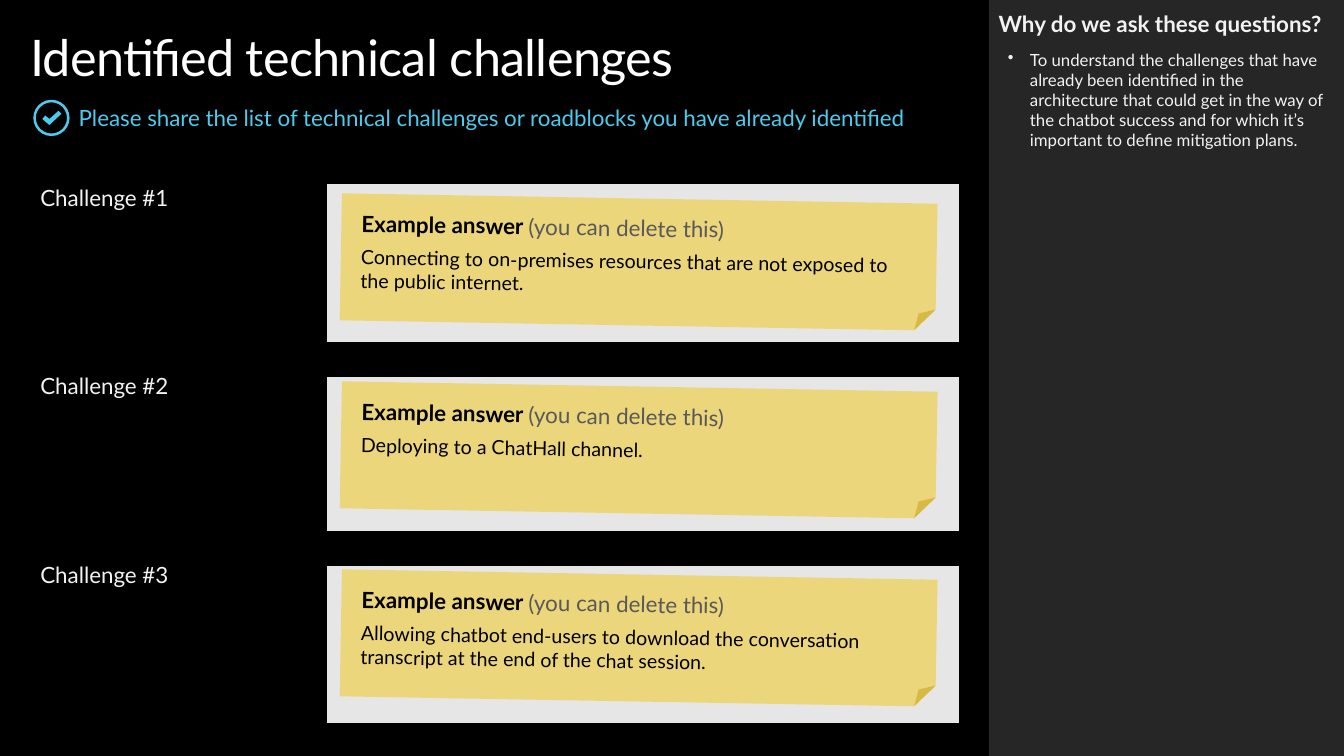
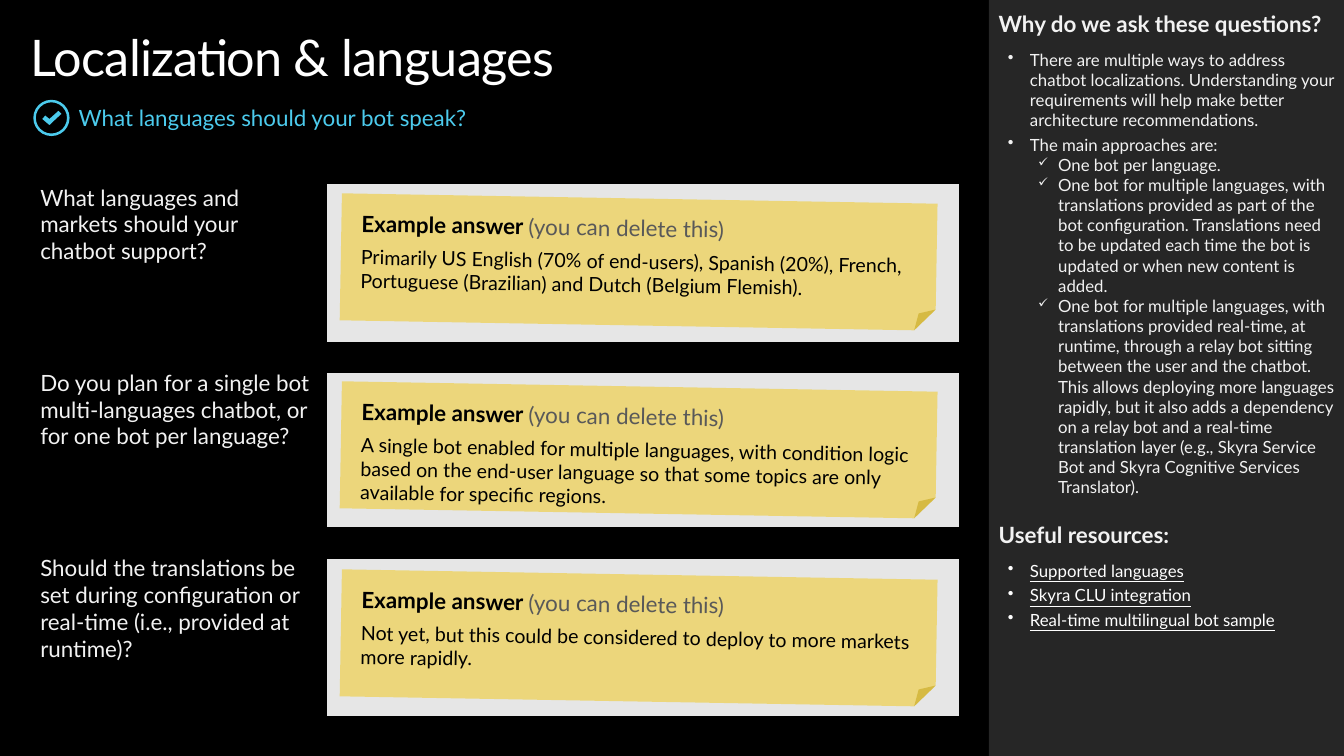
from dataclasses import dataclass
from typing import NamedTuple

from lxml import etree
from pptx import Presentation
from pptx import util as u
from pptx.dml.color import RGBColor
from pptx.enum import shapes, text
from pptx.oxml import ns


@dataclass(frozen=True)
class Theme:
    font: str = "Lato"
    black: str = "000000"
    white: str = "FFFFFF"
    panel: str = "262626"
    pale: str = "F2F2F2"
    grey: str = "595959"
    blank: str = "E6E6E6"
    accent: str = "4CCBED"
    note: str = "F2C811"
    title: float = 36
    head: float = 16
    body: float = 14
    small: float = 12


T = Theme()


class Box(NamedTuple):
    left: float
    top: float
    width: float
    height: float

    def pts(self) -> list[u.Pt]:
        return [u.Pt(v) for v in self]


class Style(NamedTuple):
    size: float
    color: str
    bold: bool = False
    under: bool = False


class Kind(NamedTuple):
    """Paragraph style in the side panel."""
    style: Style
    before: float = 0
    after: float = 0
    left: float = 0
    hang: float = 0
    mark: str = ""
    scale: int = 100


class Item(NamedTuple):
    kind: Kind
    words: str


class Pair(NamedTuple):
    ask: str
    reply: str


@dataclass(frozen=True)
class Page:
    title: str
    lead: str
    pairs: list[Pair]
    gap: float
    items: list[Item]


# Panel paragraph kinds
HEAD = Kind(Style(T.head, T.pale, True), after=6)
NEXT = HEAD._replace(before=17)
DOT = Kind(Style(T.small, T.pale), 3, 0, 22.3, -15.8, "•")
TICK = Kind(Style(T.small, T.pale), 0, 0, 42.5, -14.4, "✓", 75)
LINK = DOT._replace(style=Style(T.small, T.white, under=True))

# Places
SIZE = (960, 540)
SIDE = Box(706.3, 0, 254.1, 540)
TITLE = Box(21.6, 18.7, 663, 44)
LEAD = Box(56.2, 74.2, 628.6, 19.4)
RING = Box(23.8, 71.3, 25.9, 25.9)
CHECK = [(41.8, 79.2), (35.3, 85), (32.4, 82.6), (30.2, 85), (34.6, 88.8),
         (35.6, 89.3), (36.7, 88), (43.9, 81.4)]
GRID = (28.8, 131.4)
COLS = (204.5, 451.4)
ROW = 115.2
RULE = 6
NOTE = Box(243.4, 141.8, 425.5, 90.7)
STEP = 134.3


def rgb(code: str) -> RGBColor:
    return RGBColor.from_string(code)


def sub(node, tag: str, **attrs: str):
    return etree.SubElement(node, ns.qn(tag), attrs)


def add_run(para, words: str, style: Style):
    run = para.add_run()
    run.text = words
    font = run.font
    font.name, font.size = T.font, u.Pt(style.size)
    font.bold, font.underline = style.bold, style.under
    font.color.rgb = rgb(style.color)
    return run


def set_frame(frame, x: float = 0, y: float = 0,
              anchor=text.MSO_ANCHOR.TOP) -> None:
    frame.word_wrap = True
    frame.vertical_anchor = anchor
    frame.margin_left = frame.margin_right = u.Pt(x)
    frame.margin_top = frame.margin_bottom = u.Pt(y)


def add_box(slide, box: Box, inset: float = 0, anchor=text.MSO_ANCHOR.TOP):
    frame = slide.shapes.add_textbox(*box.pts()).text_frame
    set_frame(frame, inset, inset, anchor)
    return frame


def paint(shape, color: str) -> None:
    shape.shadow.inherit = False
    shape.fill.solid()
    shape.fill.fore_color.rgb = rgb(color)
    shape.line.fill.background()


def add_shape(slide, kind, box: Box, color: str):
    shape = slide.shapes.add_shape(kind, *box.pts())
    paint(shape, color)
    return shape


def add_base(slide, page: Page) -> None:
    """Background, side band, check icon, title and lead line."""
    fill = slide.background.fill
    fill.solid()
    fill.fore_color.rgb = rgb(T.black)
    add_shape(slide, shapes.MSO_SHAPE.RECTANGLE, SIDE, T.panel)

    ring = add_shape(slide, shapes.MSO_SHAPE.DONUT, RING, T.accent)
    ring.adjustments[0] = 0.07
    first, *rest = [(u.Pt(x), u.Pt(y)) for x, y in CHECK]
    path = slide.shapes.build_freeform(*first)
    path.add_line_segments(rest, close=True)
    paint(path.convert_to_shape(), T.accent)

    para = add_box(slide, TITLE).paragraphs[0]
    run = add_run(para, page.title, Style(T.title, T.white))
    run.font._element.set("spc", "-50")
    frame = add_box(slide, LEAD, anchor=text.MSO_ANCHOR.MIDDLE)
    add_run(frame.paragraphs[0], page.lead, Style(T.head, T.accent))


def set_edges(cell, top: bool, bottom: bool) -> None:
    props = cell._tc.get_or_add_tcPr()
    edges = {"a:lnL": False, "a:lnR": False, "a:lnT": top, "a:lnB": bottom}
    for tag, shown in edges.items():
        if shown:
            line = sub(props, tag, w=str(u.Pt(RULE)))
            sub(sub(line, "a:solidFill"), "a:srgbClr", val=T.black)
        else:
            sub(sub(props, tag, w="0"), "a:noFill")


def add_grid(slide, page: Page) -> None:
    """Questions on the left, answer fields on the right."""
    count = 2 * len(page.pairs) - 1
    highs = [page.gap if i % 2 else ROW for i in range(count)]
    box = Box(*GRID, sum(COLS), sum(highs))
    table = slide.shapes.add_table(count, len(COLS), *box.pts()).table
    table.first_row = table.horz_banding = False
    for col, width in zip(table.columns, COLS):
        col.width = u.Pt(width)
    for i, (row, high) in enumerate(zip(table.rows, highs)):
        row.height = u.Pt(high)
        for j, cell in enumerate(row.cells):
            set_edges(cell, i > 0, i < count - 1)
            cell.margin_left = cell.margin_top = cell.margin_bottom = 0
            cell.margin_right = u.Pt(7.2)
            field = j == 1 and i % 2 == 0
            cell.fill.solid()
            cell.fill.fore_color.rgb = rgb(T.blank if field else T.black)
            para = cell.text_frame.paragraphs[0]
            if j == 0 and i % 2 == 0:
                add_run(para, page.pairs[i // 2].ask, Style(T.head, T.pale))
            else:
                para._p.get_or_add_endParaRPr().set("sz", "800")


def add_side(slide, items: list[Item]) -> None:
    """Side panel text."""
    frame = add_box(slide, SIDE, 7.2)
    for i, (kind, words) in enumerate(items):
        para = frame.add_paragraph() if i else frame.paragraphs[0]
        if kind.mark:
            props = para._p.get_or_add_pPr()
            props.set("marL", str(u.Pt(kind.left)))
            props.set("indent", str(u.Pt(kind.hang)))
            sub(props, "a:buSzPct", val=str(kind.scale * 1000))
            sub(props, "a:buChar", char=kind.mark)
        para.space_before = u.Pt(kind.before)
        para.space_after = u.Pt(kind.after)
        add_run(para, words, kind.style)


def add_note(slide, index: int, reply: str) -> None:
    """Tilted sticky note with a sample answer."""
    box = NOTE._replace(top=NOTE.top + index * STEP)
    note = add_shape(slide, shapes.MSO_SHAPE.FOLDED_CORNER, box, T.note)
    note.rotation = 1
    tint = note._element.spPr.find(".//" + ns.qn("a:srgbClr"))
    sub(tint, "a:alpha", val="50000")
    frame = note.text_frame
    set_frame(frame, 14.4, 11.5)
    head, body = frame.paragraphs[0], frame.add_paragraph()
    for para in (head, body):
        para.alignment = text.PP_ALIGN.LEFT
        para.space_after = u.Pt(6)
    add_run(head, "Example answer ", Style(T.head, T.black, True))
    add_run(head, "(you can delete this)", Style(T.head, T.grey))
    add_run(body, reply, Style(T.body, T.black))


WHY = Item(HEAD, "Why do we ask these questions?")
PAGES = [
    Page(
        "Identified technical challenges",
        "Please share the list of technical challenges or roadblocks you have already identified",
        [Pair("Challenge #1", "Connecting to on-premises resources that are not exposed to the public internet."),
         Pair("Challenge #2", "Deploying to a ChatHall channel."),
         Pair("Challenge #3", "Allowing chatbot end-users to download the conversation transcript at the end of the chat session.")],
        19.8,
        [WHY,
         Item(DOT, "To understand the challenges that have already been identified in the architecture that could get in the way of the chatbot success and for which it’s important to define mitigation plans.")],
    ),
    Page(
        "Localization & languages",
        "What languages should your bot speak?",
        [Pair("What languages and markets should your chatbot support?",
              "Primarily US English (70% of end-users), Spanish (20%), French, Portuguese (Brazilian) and Dutch (Belgium Flemish)."),
         Pair("Do you plan for a single bot multi-languages chatbot, or for one bot per language?",
              "A single bot enabled for multiple languages, with condition logic based on the end-user language so that some topics are only available for specific regions."),
         Pair("Should the translations be set during configuration or real-time (i.e., provided at runtime)?",
              "Not yet, but this could be considered to deploy to more markets more rapidly.")],
        17.3,
        [WHY,
         Item(DOT, "There are multiple ways to address chatbot localizations. Understanding your requirements will help make better architecture recommendations."),
         Item(DOT, "The main approaches are:"),
         Item(TICK, "One bot per language."),
         Item(TICK, "One bot for multiple languages, with translations provided as part of the bot configuration. Translations need to be updated each time the bot is updated or when new content is added."),
         Item(TICK, "One bot for multiple languages, with translations provided real-time, at runtime, through a relay bot sitting between the user and the chatbot. This allows deploying more languages rapidly, but it also adds a dependency on a relay bot and a real-time translation layer (e.g., Skyra Service Bot and Skyra Cognitive Services Translator)."),
         Item(NEXT, "Useful resources:"),
         Item(LINK, "Supported languages"),
         Item(LINK, "Skyra CLU integration"),
         Item(LINK, "Real-time multilingual bot sample")],
    ),
]


def main() -> None:
    deck = Presentation()
    deck.slide_width, deck.slide_height = (u.Pt(v) for v in SIZE)
    for page in PAGES:
        slide = deck.slides.add_slide(deck.slide_layouts[6])
        add_base(slide, page)
        add_grid(slide, page)
        add_side(slide, page.items)
        for i, pair in enumerate(page.pairs):
            add_note(slide, i, pair.reply)
    deck.save("out.pptx")


if __name__ == "__main__":
    main()
